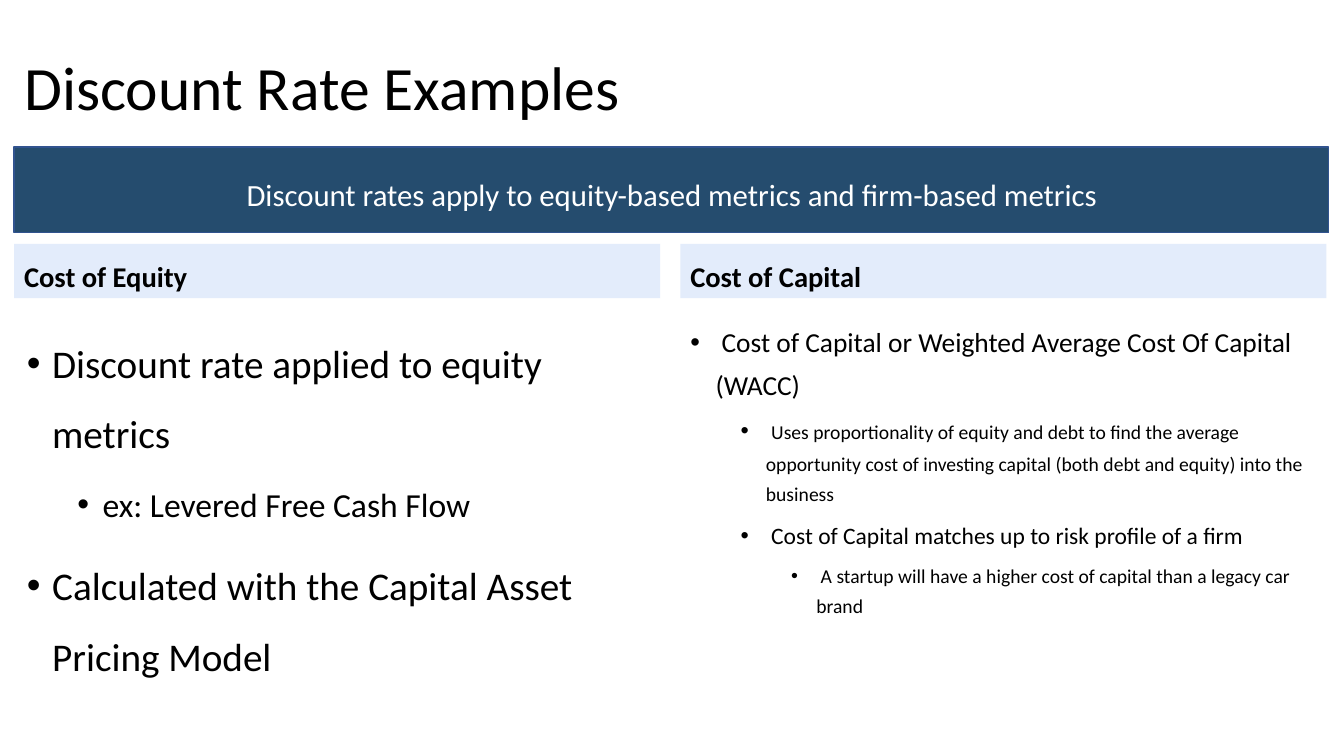
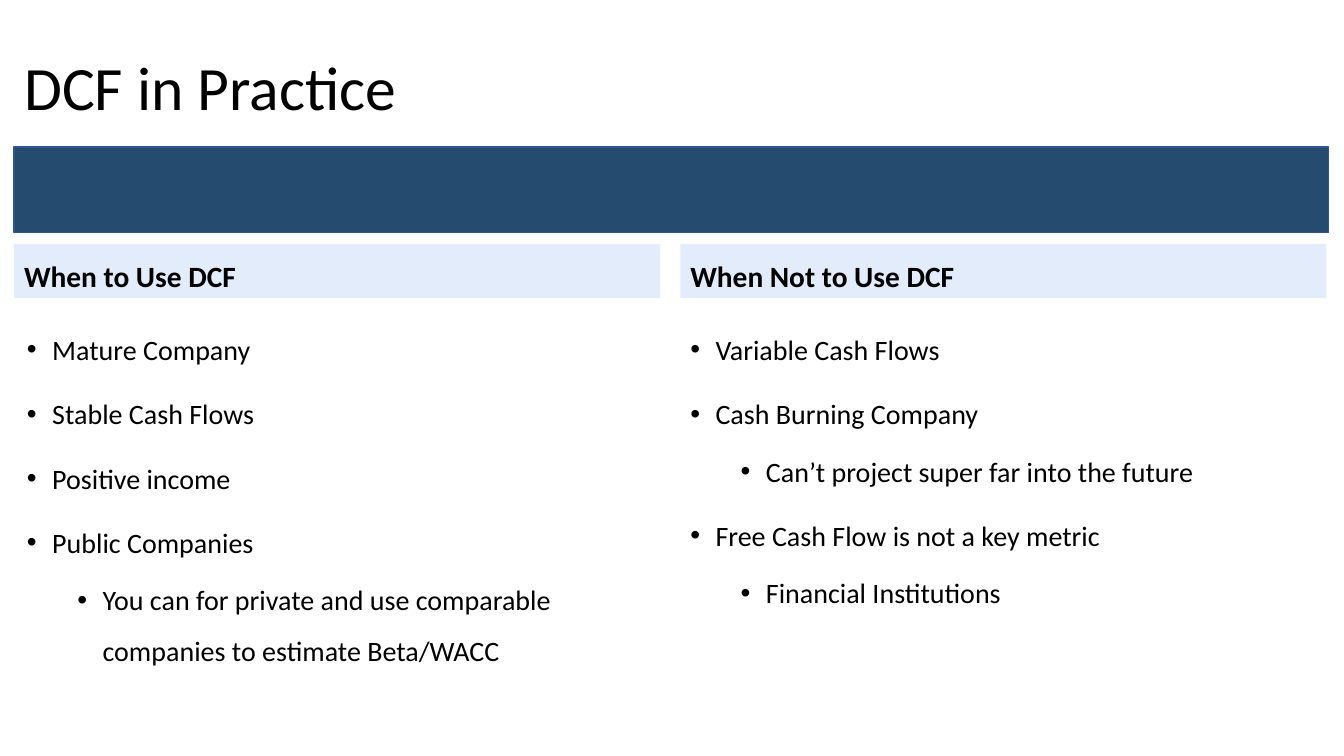
"""Build two slides that compare discount rates and uses of DCF in two columns."""
from lxml import etree
from pptx import Presentation
from pptx.dml.color import RGBColor
from pptx.enum.shapes import MSO_SHAPE
from pptx.enum.text import MSO_ANCHOR, MSO_AUTO_SIZE, PP_ALIGN
from pptx.oxml.ns import qn
from pptx.util import Pt

RECTANGLE = MSO_SHAPE.RECTANGLE
TOP, MIDDLE, BOTTOM = MSO_ANCHOR.TOP, MSO_ANCHOR.MIDDLE, MSO_ANCHOR.BOTTOM
LEFT, CENTER = PP_ALIGN.LEFT, PP_ALIGN.CENTER
COLORS = {"banner": "254C6E", "outline": "31538F", "header": "E3ECFB",
          "text": "000000", "light": "FFFFFF"}
FONT = "Calibri"
FRAME_FORMAT = {
    "word_wrap": True, "auto_size": MSO_AUTO_SIZE.NONE,
    "margin_left": Pt(7.2), "margin_right": Pt(7.2),
    "margin_top": Pt(3.6), "margin_bottom": Pt(3.6),
}
INDENT, LEVEL_STEP = 18, 36
SPACE_BEFORE = (10, 5, 5)
MARGIN, FULL_WIDTH = 10.1, 939
COLUMN_WIDTH = 461.5
HEADER_LEFTS = (MARGIN, 486)
BODY_LEFTS = (12.2, 486)

SLIDES = [
    {
        "title": "Discount Rate Examples",
        "message": "Discount rates apply to equity-based metrics and firm-based metrics",
        "header_size": 20.4, "header_spacing": 1.4,
        "columns": [
            ("Cost of Equity", 1.5, [
                (0, [("Discount rate applied to equity metrics", 28)]),
                (1, [("ex: Levered Free Cash Flow", 24)]),
                (0, [("Calculated with the Capital Asset Pricing Model", 28)]),
            ]),
            ("Cost of Capital", 1.3, [
                (0, [(" Cost of Capital or Weighted Average Cost Of Capital (WACC)", 19.6)]),
                (1, [(" ", 16.8),
                     ("Uses proportionality of equity and debt to find the average "
                      "opportunity cost of investing capital (both debt and equity) "
                      "into the business", 14)]),
                (1, [(" Cost of Capital matches up to risk profile of a firm", 16.8)]),
                (2, [(" A startup will have a higher cost of capital than a legacy "
                      "car brand", 14)]),
            ]),
        ],
    },
    {
        "title": "DCF in Practice",
        "message": None,
        "header_size": 21, "header_spacing": 1.3,
        "columns": [
            ("When to Use DCF", 1.5, [
                (0, [("Mature Company", 20)]),
                (0, [("Stable Cash Flows", 20)]),
                (0, [("Positive income", 20)]),
                (0, [("Public Companies", 20)]),
                (1, [("You can for private and use comparable companies to "
                      "estimate Beta/WACC", 20)]),
            ]),
            ("When Not to Use DCF", 1.5, [
                (0, [("Variable Cash Flows", 20)]),
                (0, [("Cash Burning Company", 20)]),
                (1, [("Can’t project super far into the future", 20)]),
                (0, [("Free Cash Flow is not a key metric", 20)]),
                (1, [("Financial Institutions", 20)]),
            ]),
        ],
    },
]


def write(frame, anchor, paragraphs, spacing, align=LEFT, color="text", bold=False, bullets=False):
    """Fill a text frame with (level, runs) paragraphs."""
    for name, value in FRAME_FORMAT.items():
        setattr(frame, name, value)
    frame.vertical_anchor = anchor
    for index, (level, runs) in enumerate(paragraphs):
        paragraph = frame.add_paragraph() if index else frame.paragraphs[0]
        paragraph_format = {
            "level": level, "alignment": align, "line_spacing": spacing,
            "space_before": Pt(SPACE_BEFORE[level] if index else 0),
        }
        for name, value in paragraph_format.items():
            setattr(paragraph, name, value)
        for text, size in runs:
            run = paragraph.add_run()
            run.text = text
            font_format = {"name": FONT, "size": Pt(size), "bold": bold}
            for name, value in font_format.items():
                setattr(run.font, name, value)
            run.font.color.rgb = RGBColor.from_string(COLORS[color])
        if bullets:
            properties = paragraph._p.get_or_add_pPr()
            properties.set("marL", str(Pt(INDENT + LEVEL_STEP * level)))
            properties.set("indent", str(Pt(-INDENT)))
            bullet_color = etree.SubElement(properties, qn("a:buClr"))
            etree.SubElement(bullet_color, qn("a:srgbClr"), val=COLORS["text"])
            etree.SubElement(properties, qn("a:buFont"), typeface="Arial")
            etree.SubElement(properties, qn("a:buChar"), char="•")


def add_band(slide, left, top, width, height, fill):
    """Add a filled rectangle without outline or shadow."""
    band = slide.shapes.add_shape(RECTANGLE, Pt(left), Pt(top), Pt(width), Pt(height))
    band.shadow.inherit = False
    band.fill.solid()
    band.fill.fore_color.rgb = RGBColor.from_string(COLORS[fill])
    band.line.fill.background()
    return band


deck = Presentation()
deck.slide_width, deck.slide_height = Pt(960), Pt(540)
title_only = deck.slide_layouts[5]

for content in SLIDES:
    slide = deck.slides.add_slide(title_only)
    title = slide.shapes.title
    title.left, title.top = Pt(MARGIN), Pt(28.8)
    title.width, title.height = Pt(FULL_WIDTH), Pt(72)
    write(title.text_frame, MIDDLE, [(0, [(content["title"], 44)])], 0.9)

    banner = add_band(slide, MARGIN, 105.1, FULL_WIDTH, 61.2, "banner")
    banner.line.color.rgb = RGBColor.from_string(COLORS["outline"])
    banner.line.width = Pt(1)
    if content["message"]:
        message = slide.shapes.add_textbox(Pt(96), Pt(121.7), Pt(768), Pt(33.8))
        write(message.text_frame, TOP, [(0, [(content["message"], 22)])], 1.0,
              align=CENTER, color="light")

    for header_left, body_left, (heading, spacing, points) in zip(
            HEADER_LEFTS, BODY_LEFTS, content["columns"]):
        header = add_band(slide, header_left, 174.2, COLUMN_WIDTH, 38.9, "header")
        write(header.text_frame, BOTTOM, [(0, [(heading, content["header_size"])])],
              content["header_spacing"], bold=True)
        body = slide.shapes.add_textbox(Pt(body_left), Pt(221.8), Pt(COLUMN_WIDTH), Pt(265.7))
        write(body.text_frame, TOP, points, spacing, bullets=True)

deck.save("out.pptx")
